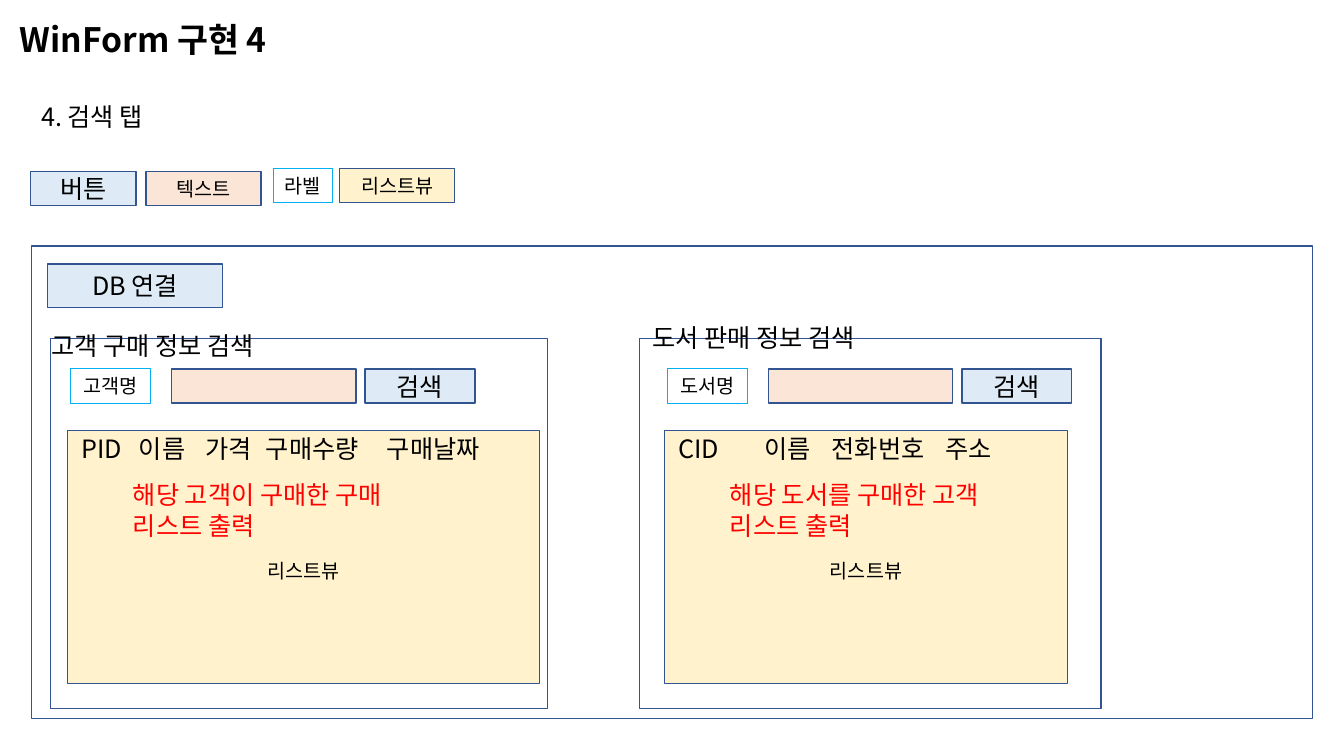
from lxml import etree
from pptx import Presentation
from pptx.dml.color import RGBColor
from pptx.enum.shapes import MSO_SHAPE
from pptx.enum.text import MSO_ANCHOR, PP_ALIGN
from pptx.oxml.ns import qn
from pptx.util import Inches, Pt

FONT = "Noto Sans CJK KR"
BLACK = RGBColor(0x00, 0x00, 0x00)
RED = RGBColor(0xFF, 0x00, 0x00)
NAVY = RGBColor(0x32, 0x54, 0x91)
CYAN = RGBColor(0x00, 0xB0, 0xF0)
BLUE = RGBColor(0xDE, 0xEB, 0xF7)
PEACH = RGBColor(0xFB, 0xE5, 0xD6)
CREAM = RGBColor(0xFF, 0xF2, 0xCC)

TITLE = "WinForm 구현 4"
SUBTITLE = "4. 검색 탭"
CONNECT = "DB 연결"
SEARCH = "검색"
LIST_VIEW = "리스트뷰"
WINDOW = (0.31, 2.44, 12.71, 4.69)
CONTROL_HEIGHT = 0.34

# Tab positions of the columns are measured from the first column.
PANELS = [
    {"origin": 0.67, "frame": (0.5, 4.93), "list_width": 4.68,
     "heading": ("고객 구매 정보 검색", 0.41, 3.23), "label": "고객명",
     "columns": ["PID", "이름", "가격", "구매수량", "구매날짜"],
     "tabs": [0.57, 1.23, 1.83, 3.03],
     "hint": ["해당 고객이 구매한 구매", "리스트 출력"]},
    {"origin": 6.59, "frame": (6.34, 4.58), "list_width": 4,
     "heading": ("도서 판매 정보 검색", 6.37, 3.15), "label": "도서명",
     "columns": ["CID", "이름", "전화번호", "주소"],
     "tabs": [0.85, 1.52, 2.65],
     "hint": ["해당 도서를 구매한 고객", "리스트 출력"]},
]

prs = Presentation()
prs.slide_width, prs.slide_height = Inches(13.33), Inches(7.5)
slide = prs.slides.add_slide(prs.slide_layouts[6])


def write(frame, lines, size, color=BLACK, align=PP_ALIGN.LEFT, bold=False):
    """Fill a text frame with one paragraph per line."""
    for number, line in enumerate(lines):
        paragraph = frame.add_paragraph() if number else frame.paragraphs[0]
        paragraph.text = line
        paragraph.alignment = align
        font = paragraph.font
        font.name, font.size, font.bold = FONT, Pt(size), bold
        font.color.rgb = color
        defaults = paragraph._p.pPr.find(qn("a:defRPr"))
        etree.SubElement(defaults, qn("a:ea")).set("typeface", FONT)


def add_text(place, lines, size=18, color=BLACK, bold=False, wrap=False):
    """Add a text box and return its text frame."""
    frame = slide.shapes.add_textbox(*map(Inches, place)).text_frame
    frame.word_wrap = wrap
    write(frame, lines, size, color, bold=bold)
    return frame


def add_box(place, fill=None, text=None, size=18, line=NAVY, weight=1):
    """Add an outlined rectangle with centred text and return its text frame."""
    box = slide.shapes.add_shape(MSO_SHAPE.RECTANGLE, *map(Inches, place))
    box.shadow.inherit = False
    if fill is None:
        box.fill.background()
    else:
        box.fill.solid()
        box.fill.fore_color.rgb = fill
    box.line.color.rgb = line
    box.line.width = Pt(weight)
    frame = box.text_frame
    frame.vertical_anchor = MSO_ANCHOR.MIDDLE
    if text:
        write(frame, [text], size, align=PP_ALIGN.CENTER)
    return frame


def add_label(left, top, width, text):
    """Add a small label with a cyan outline."""
    frame = add_box((left, top, width, CONTROL_HEIGHT), text=text, size=14,
                    line=CYAN, weight=0.75)
    frame.word_wrap = False


def add_columns(place, columns, tabs):
    """Add the column names of a list view, spaced by tab stops."""
    frame = add_text(place, ["\t".join(columns)], wrap=True)
    properties = frame.paragraphs[0]._p.pPr
    stops = etree.Element(qn("a:tabLst"))
    for tab in tabs:
        etree.SubElement(stops, qn("a:tab"), pos=str(Inches(tab)), algn="l")
    properties.find(qn("a:defRPr")).addprevious(stops)


def add_panel(panel):
    """Add a search panel: frame, heading, controls and list view."""
    origin = panel["origin"]
    frame_left, frame_width = panel["frame"]
    heading, heading_left, heading_top = panel["heading"]
    add_box((frame_left, 3.36, frame_width, 3.67))
    add_text((heading_left, heading_top, 2.49, 0.4), [heading])

    add_label(origin + 0.03, 3.66, 0.79, panel["label"])
    add_box((origin + 1.03, 3.66, 1.83, CONTROL_HEIGHT), PEACH)
    add_box((origin + 2.95, 3.66, 1.09, CONTROL_HEIGHT), BLUE, SEARCH)

    width = panel["list_width"]
    list_view = add_box((origin, 4.27, width, 2.51), CREAM, LIST_VIEW, 14)
    list_view.margin_top = Inches(0.32)
    add_columns((origin + 0.04, 4.25, width - 0.05, 0.4),
                panel["columns"], panel["tabs"])
    add_text((origin + 0.55, 4.71, 2.99, 0.71), panel["hint"], color=RED)


add_text((0.1, 0.14, 2.7, 0.5), [TITLE], 24, bold=True, wrap=True)
add_text((0.31, 0.96, 1.33, 0.4), [SUBTITLE])

add_box((0.3, 1.7, 1.05, CONTROL_HEIGHT), BLUE, "버튼")
add_box((1.45, 1.7, 1.14, CONTROL_HEIGHT), PEACH, "텍스트", 14)
add_label(2.71, 1.67, 0.59, "라벨")
add_box((3.37, 1.67, 1.14, CONTROL_HEIGHT), CREAM, LIST_VIEW, 14)

add_box(WINDOW)
add_box((0.47, 2.62, 1.74, 0.43), BLUE, CONNECT)
for panel in PANELS:
    add_panel(panel)

prs.save("out.pptx")
